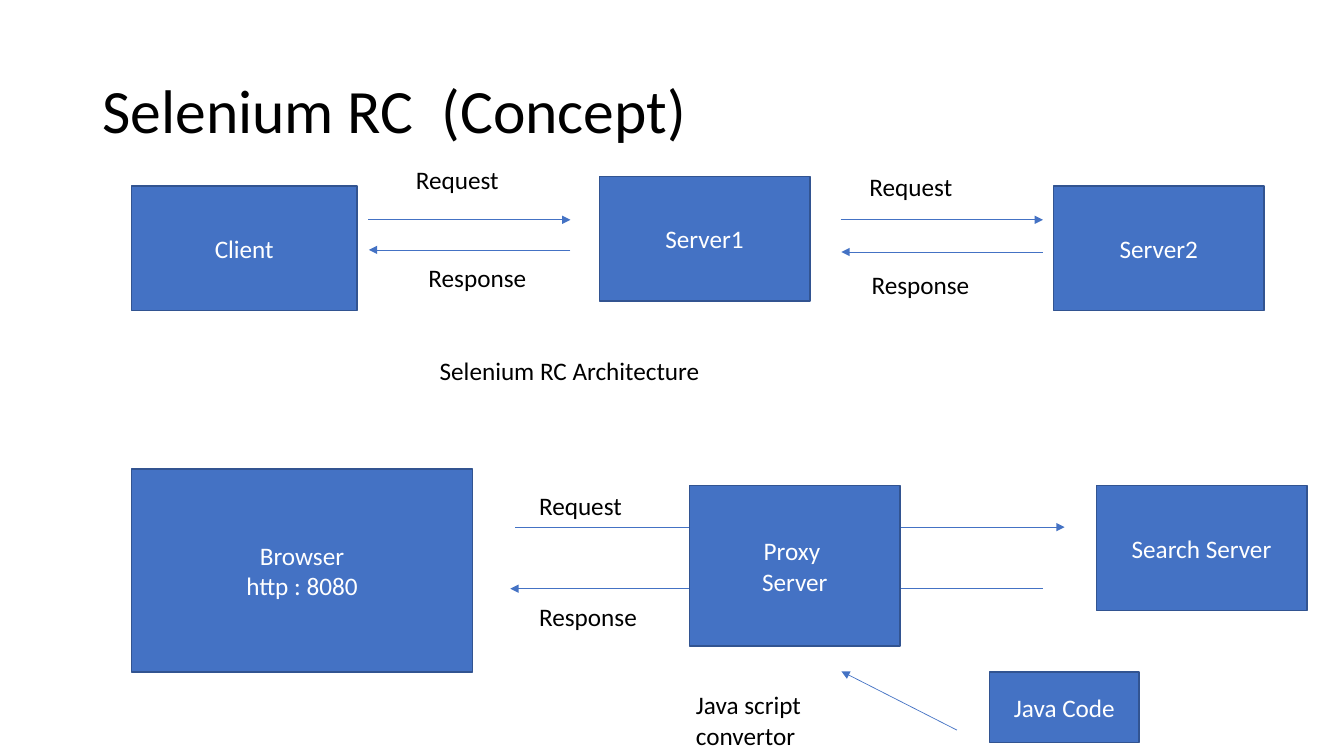
from dataclasses import dataclass

from pptx import Presentation
from pptx.dml.color import RGBColor
from pptx.enum import shapes, text
from pptx.oxml import xmlchemy as xml
from pptx.util import Pt


@dataclass(frozen=True)
class Theme:
    font: str = "Calibri"
    ink: str = "000000"
    light: str = "FFFFFF"
    fill: str = "4472C4"
    edge: str = "325491"
    head: float = 44
    body: float = 18
    rim: float = 1
    thin: float = 0.5


THEME = Theme()
LEFT = text.PP_ALIGN.LEFT
MID = text.PP_ALIGN.CENTER
WIDE, HIGH = 150.5, 89  # size of a server box

ARROWS = [  # start x, y, end x, y
    (263, 157, 407.5, 157),
    (407.5, 178.5, 263.5, 178.5),
    (600.5, 157, 745, 157),
    (745, 180, 601, 180),
    (368, 376.5, 760.5, 376.5),
    (745, 420.5, 364.5, 420.5),
    (683.5, 521.5, 601, 479.5),
]
BOXES = [  # words, left, top, width, height
    ("Client", 94, 133, 161, HIGH),
    ("Server1", 428, 126, WIDE, HIGH),
    ("Server2", 752.5, 133, WIDE, HIGH),
    ("Browser\nhttp : 8080", 94, 335, 243.5, 145),
    ("Proxy \nServer", 492.5, 347, WIDE, 114.5),
    ("Search Server", 783, 347, WIDE, HIGH),
    ("Java Code", 707, 480, 106.5, 50.5),
]
LABELS = [  # words, left, top, width, height
    ("Request", 290, 114, 138, 29),
    ("Response", 299, 184, 138, 29),
    ("Request", 614, 119, 138, 29),
    ("Response", 615.5, 189, 138, 29),
    ("Selenium RC Architecture", 307, 250, 485, 29),
    ("Request", 378, 347, 138, 29),
    ("Response", 378, 426, 138, 29),
    ("Java script convertor", 490, 489, 138, 51),
]


def color(code):
    return RGBColor.from_string(code)


def place(shape, *box):
    for name, value in zip(("left", "top", "width", "height"), box):
        setattr(shape, name, Pt(value))


def write(shape, words, size, ink, align, anchor, gap=1.0):
    frame = shape.text_frame
    frame.text = words
    form = {
        "word_wrap": True,
        "auto_size": text.MSO_AUTO_SIZE.NONE,
        "vertical_anchor": anchor,
    }
    for name, value in form.items():
        setattr(frame, name, value)
    for para in frame.paragraphs:
        para.alignment = align
        para.line_spacing = gap
        for run in para.runs:
            run.font.color.rgb = color(ink)
            for name, value in {"name": THEME.font, "size": Pt(size)}.items():
                setattr(run.font, name, value)


def stroke(line, ink, width):
    line.color.rgb = color(ink)
    line.width = Pt(width)


def title(slide, words):
    head = slide.shapes.title
    place(head, 66, 29, 828, 104)
    write(head, words, THEME.head, THEME.ink, LEFT,
          text.MSO_ANCHOR.MIDDLE, 0.9)


def box(slide, words, *rect):
    shape = slide.shapes.add_shape(
        shapes.MSO_SHAPE.RECTANGLE, *map(Pt, rect))
    shape.shadow.inherit = False
    shape.fill.solid()
    shape.fill.fore_color.rgb = color(THEME.fill)
    stroke(shape.line, THEME.edge, THEME.rim)
    write(shape, words, THEME.body, THEME.light, MID, text.MSO_ANCHOR.MIDDLE)


def label(slide, words, *rect):
    shape = slide.shapes.add_textbox(*map(Pt, rect))
    write(shape, words, THEME.body, THEME.ink, LEFT, text.MSO_ANCHOR.TOP)


def arrow(slide, *ends):
    line = slide.shapes.add_connector(
        shapes.MSO_CONNECTOR.STRAIGHT, *map(Pt, ends))
    stroke(line.line, THEME.fill, THEME.thin)
    tip = xml.OxmlElement("a:tailEnd")
    tip.set("type", "triangle")
    line.line._get_or_add_ln().append(tip)
    line._element.spPr.append(xml.OxmlElement("a:effectLst"))


def main():
    deck = Presentation()
    deck.slide_width, deck.slide_height = Pt(960), Pt(540)
    slide = deck.slides.add_slide(deck.slide_layouts.get_by_name("Title Only"))
    title(slide, "Selenium RC  (Concept)")
    for draw, items in ((arrow, ARROWS), (box, BOXES), (label, LABELS)):
        for item in items:
            draw(slide, *item)
    deck.save("out.pptx")


if __name__ == "__main__":
    main()
